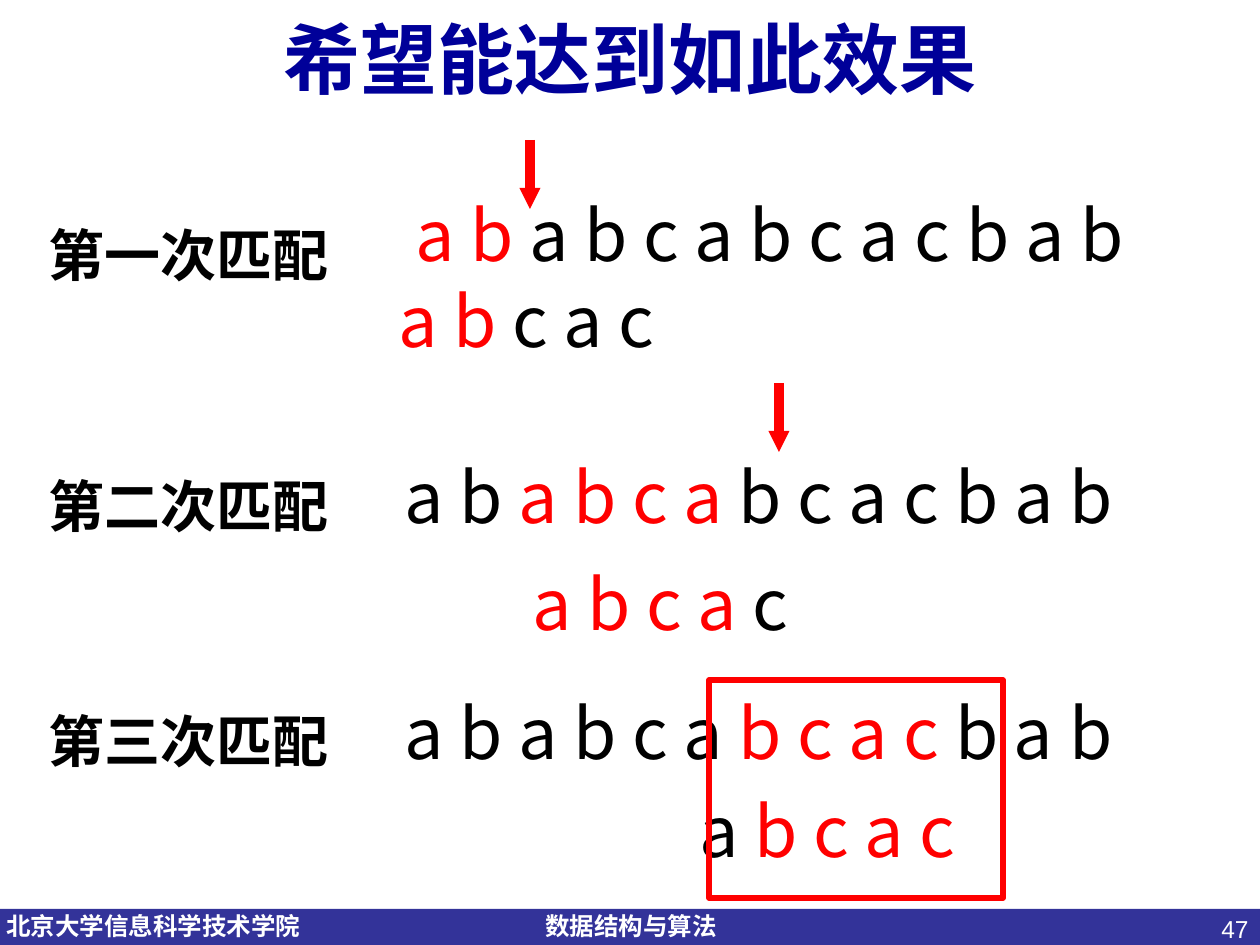
from pptx import Presentation
from pptx.dml.color import RGBColor
from pptx.enum.shapes import MSO_CONNECTOR, MSO_SHAPE
from pptx.enum.text import MSO_ANCHOR, PP_ALIGN
from pptx.oxml.ns import qn
from pptx.util import Emu, Pt
from lxml import etree

LEFT, CENTER, RIGHT = PP_ALIGN.LEFT, PP_ALIGN.CENTER, PP_ALIGN.RIGHT
MIDDLE = MSO_ANCHOR.MIDDLE
RECT, STRAIGHT = MSO_SHAPE.RECTANGLE, MSO_CONNECTOR.STRAIGHT
BLACK = RGBColor(0, 0, 0)
WHITE = RGBColor(255, 255, 255)
RED = RGBColor(255, 0, 0)
NAVY = RGBColor(0, 0, 0x99)
INDIGO = RGBColor(0x33, 0x33, 0x99)
CJK, LATIN = "Noto Sans CJK SC", "Arial"
TITLE_ONLY = 5
PX_PER_INCH = 126


def px(n):
    return Emu(round(n * 914400 / PX_PER_INCH))


class Canvas:
    def __init__(self, slide):
        self.slide = slide

    def style(self, r, size, color, bold=False, font=CJK):
        r.font.size, r.font.bold, r.font.name = Pt(size), bold, font
        r.font.color.rgb = color
        etree.SubElement(r.font._element, qn("a:ea")).set("typeface", CJK)

    def title(self, text, x, y, w, h):
        s = self.slide.shapes.title
        s.left, s.top, s.width, s.height = px(x), px(y), px(w), px(h)
        tf = s.text_frame
        tf.text, tf.vertical_anchor = text, MIDDLE
        p = tf.paragraphs[0]
        p.alignment = CENTER
        self.style(p.runs[0], 44, NAVY, bold=True)

    def text(self, runs, x, y, w, h, size, align=LEFT, bold=False, font=CJK,
             wrap=True):
        """Add one line of text made of (wording, colour) runs."""
        tf = self.slide.shapes.add_textbox(px(x), px(y), px(w), px(h)).text_frame
        tf.word_wrap = wrap
        p = tf.paragraphs[0]
        p.alignment = align
        for wording, color in runs:
            r = p.add_run()
            r.text = wording
            self.style(r, size, color, bold, font)
        return tf

    def footer(self, text, x):
        tf = self.text([(text, WHITE)], x, 905, 308, 43, 14, bold=True,
                       font=LATIN, wrap=False)
        tf.margin_left = 0

    def rect(self, x, y, w, h, fill=None, line=None):
        s = self.slide.shapes.add_shape(RECT, px(x), px(y), px(w), px(h))
        s.shadow.inherit = False
        if fill is None:
            s.fill.background()
        else:
            s.fill.solid()
            s.fill.fore_color.rgb = fill
        if line is None:
            s.line.fill.background()
        else:
            s.line.color.rgb, s.line.width = line, Pt(3)

    def down_arrow(self, x, y, length):
        s = self.slide.shapes.add_connector(STRAIGHT, px(x), px(y), px(x),
                                            px(y + length))
        s.line.color.rgb, s.line.width = RED, Pt(6)
        tail = etree.SubElement(s.line._get_or_add_ln(), qn("a:tailEnd"))
        for key, value in (("type", "triangle"), ("w", "sm"), ("len", "sm")):
            tail.set(key, value)
        etree.SubElement(s._element.spPr, qn("a:effectLst"))


def main():
    prs = Presentation()
    prs.slide_width, prs.slide_height = px(1260), px(945)
    c = Canvas(prs.slides.add_slide(prs.slide_layouts[TITLE_ONLY]))

    c.rect(0, 909, 1260, 36, fill=INDIGO)
    c.footer("北京大学信息科学技术学院", 6)
    c.footer("数据结构与算法", 545)
    c.text([("47", WHITE)], 967, 908, 294, 65, 14, RIGHT, font=LATIN)
    c.title("希望能达到如此效果", 0, 0, 1260, 115)

    for label, y in (("第一次匹配", 214), ("第二次匹配", 465), ("第三次匹配", 700)):
        c.text([(label, BLACK)], 25, y, 328, 81, 32, CENTER, bold=True)

    sequences = [
        ([("a b", RED), (" a b c a b c a c b a b", BLACK)], 353, 185, 833, CENTER),
        ([("a b", RED), (" c a c", BLACK)], 343, 271, 367, CENTER),
        ([("a b ", BLACK), ("a b c a ", RED), ("b c a c b a b", BLACK)],
         392, 447, 863, LEFT),
        ([("a b c a ", RED), ("c", BLACK)], 520, 554, 367, LEFT),
        ([("a b a b c a ", BLACK), ("b c a c ", RED), ("b a b", BLACK)],
         392, 683, 834, LEFT),
        ([("a ", BLACK), ("b c a c", RED)], 687, 781, 321, LEFT),
    ]
    for runs, x, y, w, align in sequences:
        c.text(runs, x, y, w, 114, 40, align)

    for x, y in ((530, 140), (779, 383)):
        c.down_arrow(x, y, 69)
    c.rect(709, 680, 294, 218, line=RED)

    prs.save("out.pptx")


if __name__ == "__main__":
    main()
